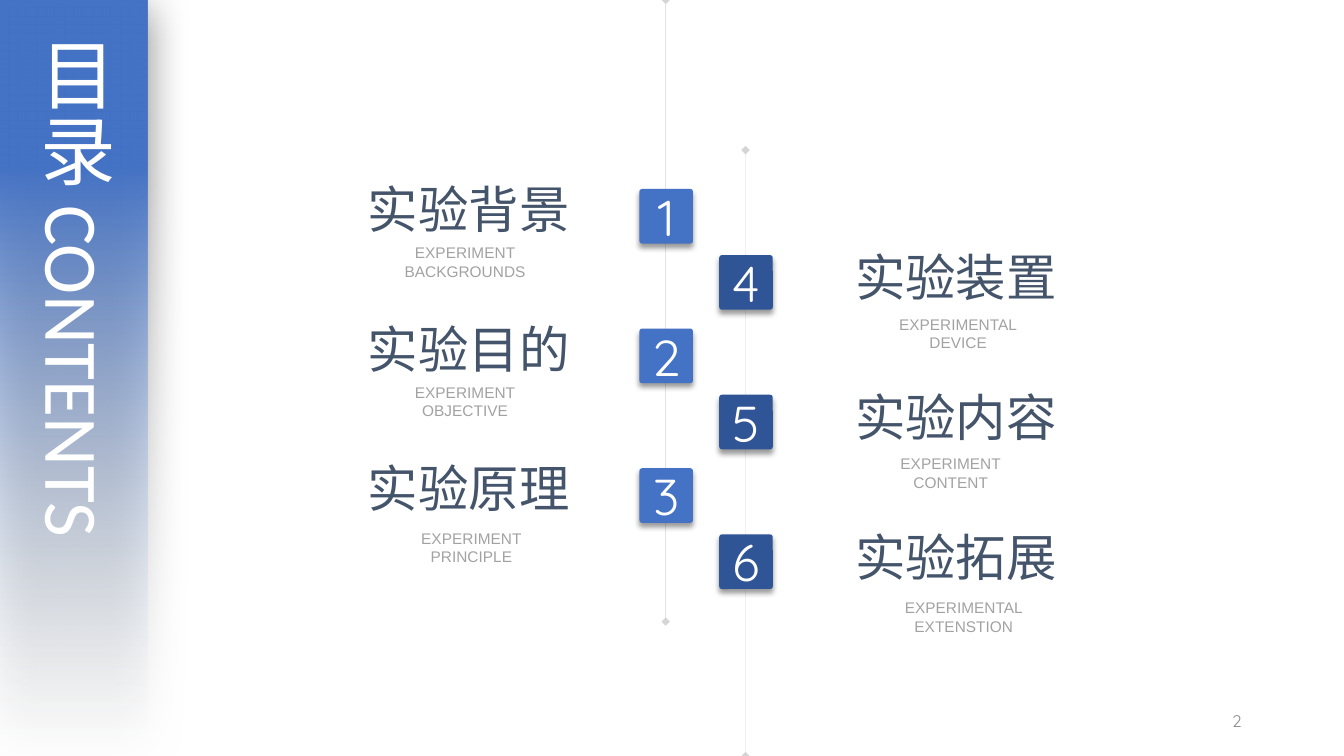
from dataclasses import dataclass
from typing import Any

from lxml import etree
from pptx import Presentation
from pptx import util as u
from pptx.dml.color import RGBColor
from pptx.enum import shapes, text
from pptx.oxml.ns import qn

PX = 9525
BLUE, NAVY, WHITE = "4472C4", "2F5597", "FFFFFF"
SLATE, GREY, PALE = "44546A", "A2A2A2", "F7FAFD"
ROW_STEP = 133
CJK = "Noto Sans CJK SC"
FIT = {"word_wrap": False, "auto_size": text.MSO_AUTO_SIZE.SHAPE_TO_FIT_TEXT}
MIDDLE = {"word_wrap": True, "vertical_anchor": text.MSO_ANCHOR.MIDDLE}
CENTER, RIGHT = text.PP_ALIGN.CENTER, text.PP_ALIGN.RIGHT


@dataclass
class Box:
    x: int
    y: int
    w: int
    h: int

    def emu(self) -> list[u.Emu]:
        return [u.Emu(v * PX) for v in (self.x, self.y, self.w, self.h)]


@dataclass
class Style:
    size: float
    name: str
    color: str
    align: Any = None


@dataclass
class Shadow:
    alpha: int
    blur: int
    dist: int
    angle: int


@dataclass
class Entry:
    title: str
    caption: str
    caption_box: Box


@dataclass
class Column:
    first: int
    color: str
    axis: Box
    tile_x: int
    tile_y: int
    title_x: int
    title_y: int
    entries: list[Entry]


TILE_SHADOW = Shadow(40, 4, 3, 90)
BAND_SHADOW = Shadow(50, 31, 6, 97)
NUMBER = Style(36, "Quicksand", WHITE, CENTER)
TITLE = Style(36, "Arial", SLATE)
CAPTION = Style(11, "Arial", GREY, CENTER)
PAGE = Style(12, "Quicksand", "8C8C8C", RIGHT)

COLUMNS = [
    Column(4, NAVY, Box(710, 143, 0, 577), 685, 243, 805, 230, [
        Entry("实验装置", "EXPERIMENTAL\vDEVICE", Box(820, 295, 185, 28)),
        Entry("实验内容", "EXPERIMENT\vCONTENT", Box(812, 428, 187, 28)),
        Entry("实验拓展", "EXPERIMENTAL\vEXTENSTION", Box(805, 565, 226, 28)),
    ]),
    Column(1, BLUE, Box(634, 0, 0, 592), 609, 180, 341, 165, [
        Entry("实验背景", "EXPERIMENT\vBACKGROUNDS", Box(328, 227, 230, 28)),
        Entry("实验目的", "EXPERIMENT\vOBJECTIVE", Box(347, 360, 192, 28)),
        Entry("实验原理", "EXPERIMENT\vPRINCIPLE", Box(354, 499, 190, 28)),
    ]),
]


def rgb(value: str) -> RGBColor:
    return RGBColor.from_string(value)


def apply(target: Any, values: dict[str, Any]) -> None:
    for key, value in values.items():
        setattr(target, key, value)


def add_child(parent: Any, tag: str, **attrs: Any) -> Any:
    return etree.SubElement(parent, qn(tag), {k: str(v) for k, v in attrs.items()})


def add_run(p: Any, content: str, style: Style) -> Any:
    p.add_run().text = content
    r = p.runs[-1]
    apply(r.font, {"size": u.Pt(style.size), "name": style.name})
    r.font.color.rgb = rgb(style.color)
    return r


def write(tf: Any, content: str, style: Style, frame: dict[str, Any]) -> None:
    apply(tf, frame)
    p = tf.paragraphs[0]
    p.alignment = style.align
    for i, line in enumerate(content.split("\v")):
        if i:
            p.add_line_break()
        add_run(p, line, style)


def add_text(s: Any, box: Box, content: str, style: Style, frame: dict[str, Any]) -> None:
    write(s.shapes.add_textbox(*box.emu()).text_frame, content, style, frame)


def add_block(s: Any, kind: Any, box: Box, shadow: Shadow) -> Any:
    sp = s.shapes.add_shape(kind, *box.emu())
    sp.line.fill.background()
    sp.shadow.inherit = False
    effects = sp.element.spPr.find(qn("a:effectLst"))
    outer = add_child(effects, "a:outerShdw", blurRad=u.Pt(shadow.blur),
                      dist=u.Pt(shadow.dist), dir=shadow.angle * 60000,
                      algn="ctr", rotWithShape=0)
    color = add_child(outer, "a:srgbClr", val="000000")
    add_child(color, "a:alpha", val=shadow.alpha * 1000)
    return sp


def add_axis(s: Any, axis: Box) -> None:
    x, y, w, h = axis.emu()
    line = s.shapes.add_connector(shapes.MSO_CONNECTOR.STRAIGHT, x, y, x + w, y + h)
    line.line.color.rgb = rgb("808080")
    line.line.width = u.Pt(0.25)
    spPr = line.element.spPr
    ln = spPr.find(qn("a:ln"))
    add_child(ln.find(".//" + qn("a:srgbClr")), "a:alpha", val=33000)
    for end in ("a:headEnd", "a:tailEnd"):
        add_child(ln, end, type="diamond")
    add_child(spPr, "a:effectLst")


def add_band(s: Any) -> None:
    sp = add_block(s, shapes.MSO_SHAPE.RECTANGLE, Box(-288, 287, 716, 141), BAND_SHADOW)
    sp.rotation = 90
    sp.fill.gradient()
    sp.fill.gradient_angle = 180
    for stop, color, position in zip(sp.fill.gradient_stops, (PALE, BLUE), (0, 0.78)):
        stop.color.rgb = rgb(color)
        stop.position = position
    clear = sp.element.spPr.find(qn("a:gradFill")).find(".//" + qn("a:srgbClr"))
    add_child(clear, "a:alpha", val=0)


def add_heading(s: Any) -> None:
    tf = s.shapes.add_textbox(*Box(13, 26, 107, 677).emu()).text_frame
    apply(tf, FIT | {"word_wrap": True})
    tf._txBody.bodyPr.set("vert", "eaVert")
    p = tf.paragraphs[0]
    r = add_run(p, "目录 ", Style(54, CJK, WHITE))
    add_child(r.font._element, "a:ea", typeface=CJK)
    add_run(p, "CONTENTS", Style(54, "Calibri", WHITE))


def add_column(s: Any, column: Column) -> None:
    for i, entry in enumerate(column.entries):
        dy = i * ROW_STEP
        sp = add_block(s, shapes.MSO_SHAPE.ROUNDED_RECTANGLE,
                       Box(column.tile_x, column.tile_y + dy, 51, 52), TILE_SHADOW)
        sp.adjustments[0] = 0.05
        sp.fill.solid()
        sp.fill.fore_color.rgb = rgb(column.color)
        write(sp.text_frame, str(column.first + i), NUMBER, MIDDLE)
        title_box = Box(column.title_x, column.title_y + dy, 217, 68)
        add_text(s, title_box, entry.title, TITLE, FIT)
        add_text(s, entry.caption_box, entry.caption, CAPTION, FIT)


def main() -> None:
    prs = Presentation()
    apply(prs, {"slide_width": u.Emu(1280 * PX), "slide_height": u.Emu(720 * PX)})
    s = prs.slides.add_slide(prs.slide_layouts[6])
    for column in COLUMNS:
        add_axis(s, column.axis)
    add_band(s)
    add_heading(s)
    for column in reversed(COLUMNS):
        add_column(s, column)
    add_text(s, Box(904, 667, 288, 38), "2", PAGE, MIDDLE)
    prs.save("out.pptx")


if __name__ == "__main__":
    main()
